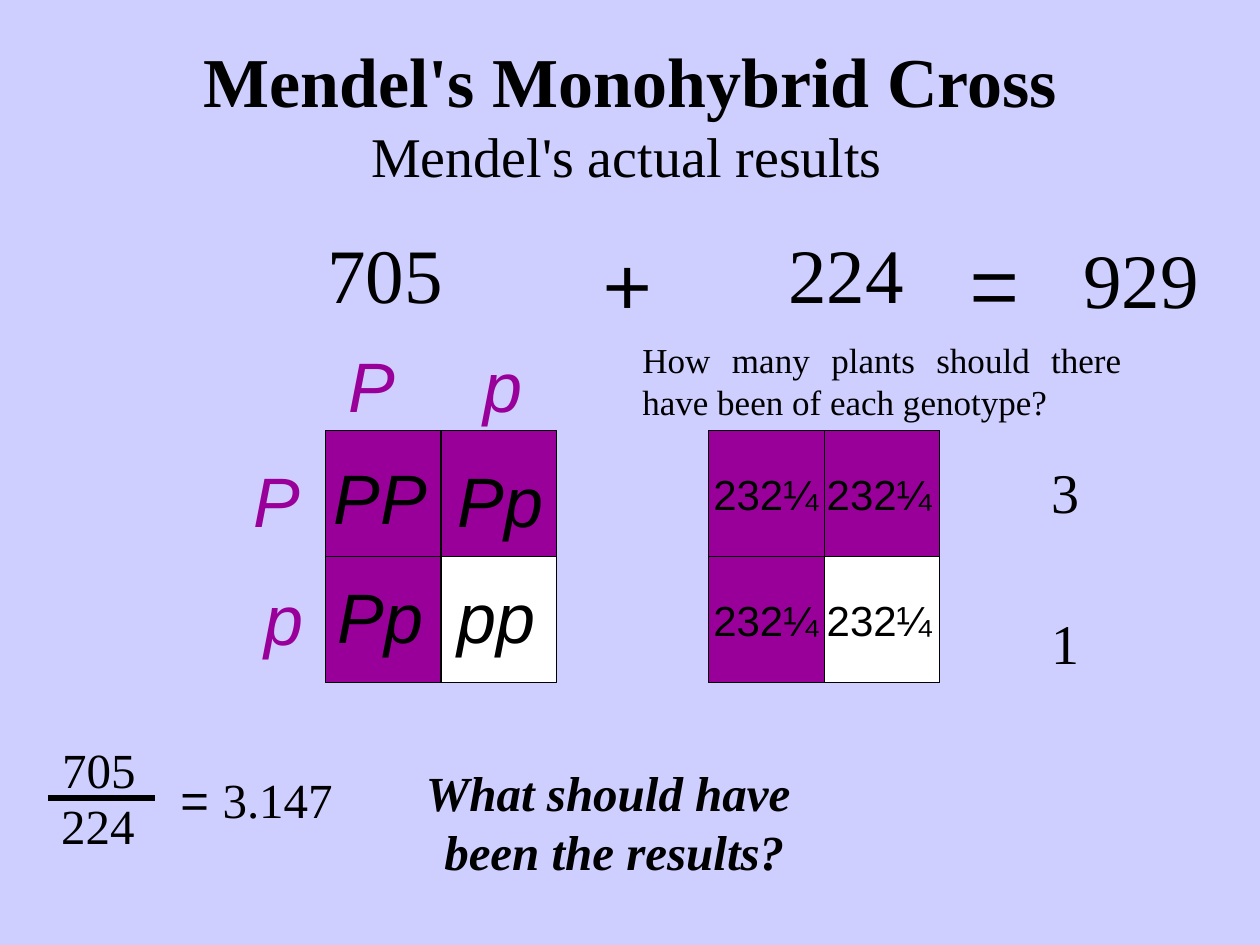
from lxml import etree
from pptx import Presentation
from pptx import util as u
from pptx.dml.color import RGBColor
from pptx.enum import shapes, text
from pptx.oxml import ns

BLACK = RGBColor(0x00, 0x00, 0x00)
WHITE = RGBColor(0xFF, 0xFF, 0xFF)
PURPLE = RGBColor(0x99, 0x00, 0x99)
LILAC = RGBColor(0xCE, 0xCE, 0xFF)

SERIF, SANS, SIGN = "Times New Roman", "Arial", "Montserrat"
LEFT = text.PP_ALIGN.LEFT
MID = text.PP_ALIGN.CENTER
JUST = text.PP_ALIGN.JUSTIFY

# The slide is a grid of 120 columns by 90 rows, 12 to the inch
COLS, ROWS = 120, 90
CELL_W, CELL_H = 11, 12


def grid(n):
    return u.Inches(n / 12)


def label(slide, words, col, row, width, size, font=SERIF, color=BLACK,
          align=LEFT, lines=1, bold=False, italic=False):
    """Text box whose height follows from its type size and line count."""
    high = lines * size / 5 + 1.2
    box = slide.shapes.add_textbox(grid(col), grid(row), grid(width), grid(high))
    frame = box.text_frame
    frame.text = words
    frame.word_wrap = True
    frame.auto_size = text.MSO_AUTO_SIZE.SHAPE_TO_FIT_TEXT
    para = frame.paragraphs[0]
    para.alignment = align
    for run in para.runs:
        style(run, size, font, color, bold, italic)
    return para


def style(run, size, font, color=BLACK, bold=False, italic=False):
    face = run.font
    face.size, face.name = u.Pt(size), font
    face.bold, face.italic = bold, italic
    face.color.rgb = color


def square(slide, col, row):
    """Two by two square with a white cell at the lower right."""
    for i in range(2):
        for j in range(2):
            cell = slide.shapes.add_shape(
                shapes.MSO_SHAPE.RECTANGLE,
                grid(col + j * CELL_W), grid(row + i * CELL_H),
                grid(CELL_W), grid(CELL_H))
            cell.shadow.inherit = False
            cell.fill.solid()
            cell.fill.fore_color.rgb = WHITE if i and j else PURPLE
            cell.line.color.rgb = BLACK
            cell.line.width = u.Pt(0.75)


def rule(slide, start, end, row):
    bar = slide.shapes.add_connector(
        shapes.MSO_CONNECTOR.STRAIGHT, grid(start), grid(row), grid(end), grid(row))
    bar.line.color.rgb = BLACK
    bar.line.width = u.Pt(3)
    etree.SubElement(bar._element.spPr, ns.qn("a:effectLst"))


def heads(slide):
    label(slide, "Mendel's Monohybrid Cross", 6, 3, 108, 40, align=MID, bold=True)
    label(slide, "Mendel's actual results", 5.2, 11, 109, 32, align=MID)


def counts(slide):
    label(slide, "705", 30, 21, 14, 44)
    label(slide, "224 ", 72, 21, 19, 44, align=MID)
    label(slide, "929", 102, 21.5, 14, 44)
    for sign, col in (("+", 56), ("=", 91)):
        label(slide, sign, col, 21, 8, 54, SIGN)


def cross(slide):
    square(slide, 31, 41)
    for pair, col, row in (("PP", 30.6, 42.7), ("Pp", 42.4, 43),
                           ("Pp", 31, 54), ("pp", 42.4, 54)):
        label(slide, pair, col, row, 14, 40, SANS, italic=True)
    for gene, col, row in (("P", 32, 32), ("p", 44.9, 32),
                           ("P", 23, 43), ("p", 24, 54.2)):
        label(slide, gene, col, row, 7, 40, SANS, PURPLE, italic=True)


def ideal(slide):
    label(slide, "How many plants should there have been of each genotype? ",
          60, 31.6, 48, 20, align=JUST, lines=2)
    square(slide, 67.5, 41)
    for i in range(2):
        for j in range(2):
            label(slide, "232¼", 66.75 + 10.8 * j, 44 + CELL_H * i, 14, 24, SANS)
    label(slide, "3", 99, 43, 7, 32)
    label(slide, "1", 99, 57.4, 7, 32)


def ratio(slide):
    label(slide, "705 ", 3, 69.8, 14, 28, align=MID)
    label(slide, "224 ", 3.4, 75.2, 13, 28, align=MID)
    rule(slide, 4.6, 14.8, 76)
    para = label(slide, "= ", 16, 72.7, 21, 28, SANS)
    value = para.add_run()
    value.text = "3.147"
    style(value, 28, SERIF)
    label(slide, "What should have \vbeen the results?", 34, 72, 49, 28,
          align=MID, lines=2, bold=True, italic=True)


def main():
    deck = Presentation()
    deck.slide_width, deck.slide_height = grid(COLS), grid(ROWS)
    slide = deck.slides.add_slide(deck.slide_layouts[6])
    slide.background.fill.solid()
    slide.background.fill.fore_color.rgb = LILAC

    heads(slide)
    counts(slide)
    cross(slide)  # observed genotypes
    ideal(slide)  # expected numbers
    ratio(slide)  # observed ratio and closing question
    deck.save("out.pptx")


if __name__ == "__main__":
    main()
